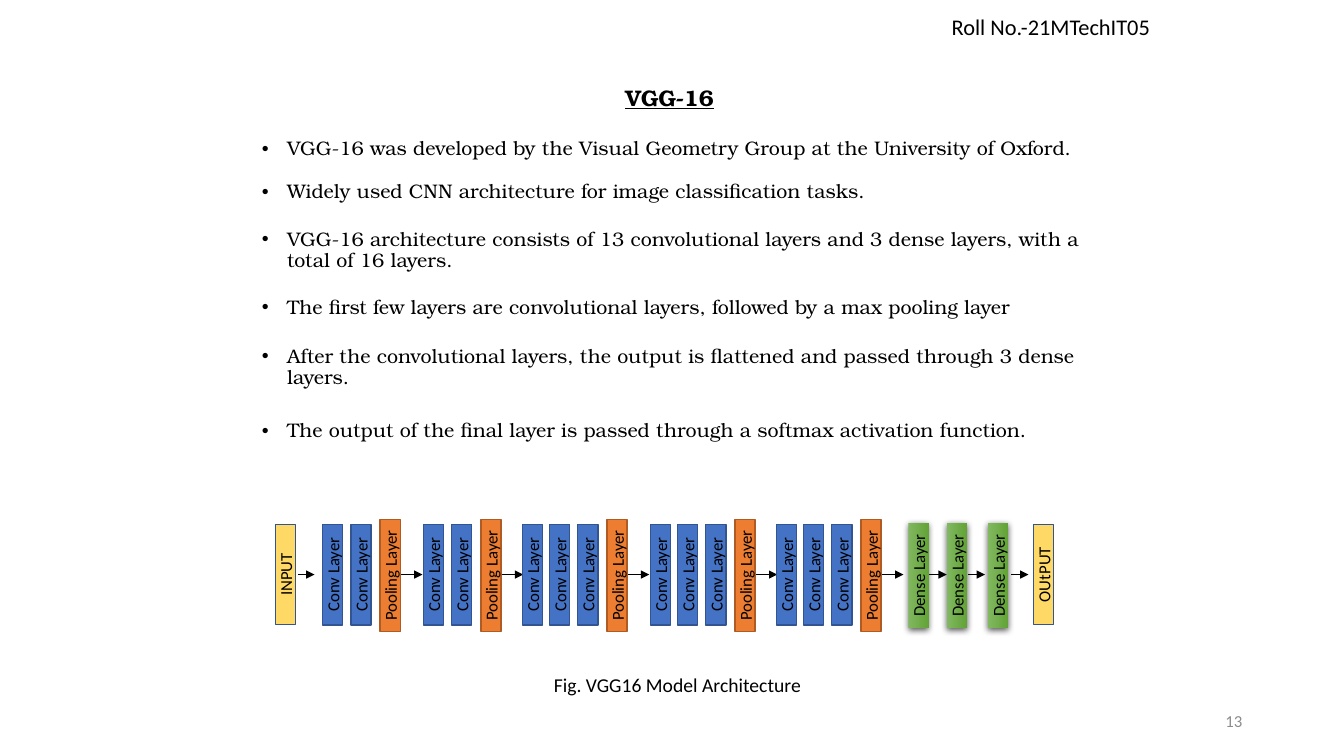
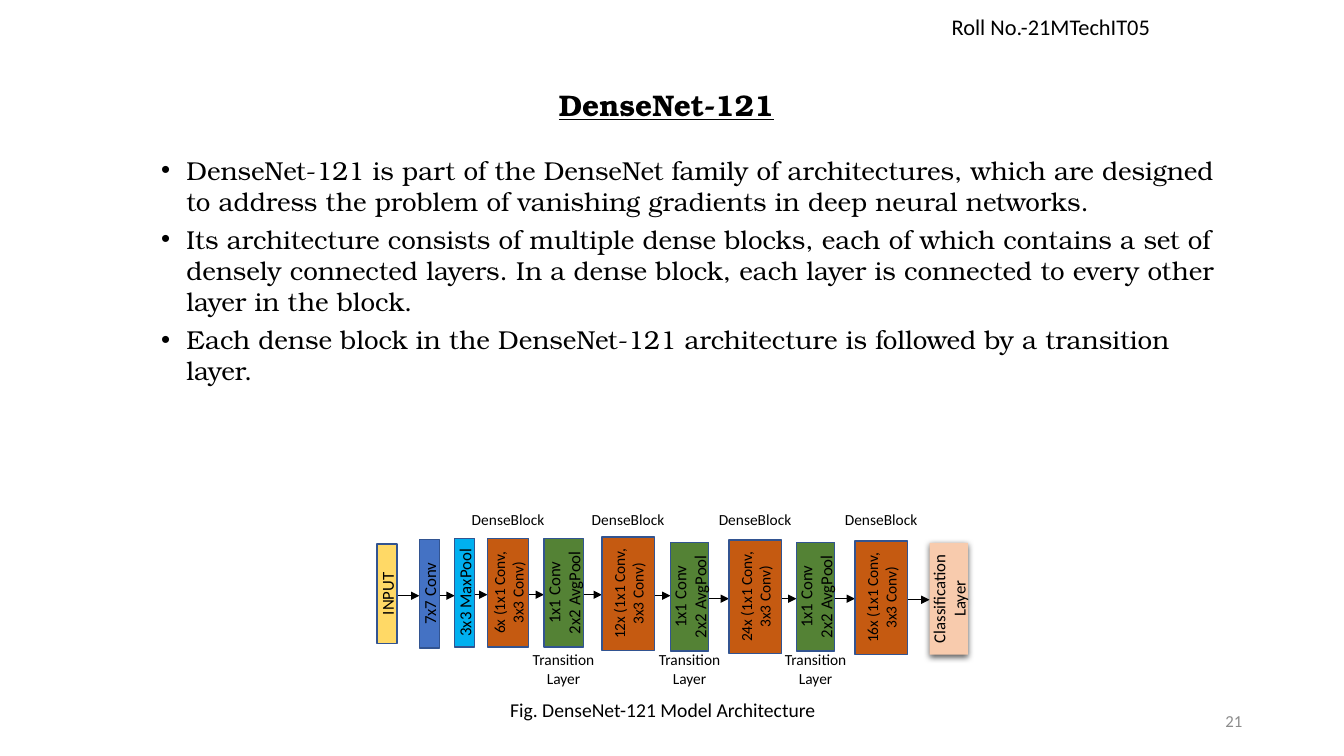
from lxml import etree
from pptx import Presentation
from pptx.dml.color import RGBColor
from pptx.enum.shapes import MSO_CONNECTOR, MSO_SHAPE
from pptx.enum.text import MSO_ANCHOR, MSO_AUTO_SIZE, PP_ALIGN
from pptx.oxml.ns import qn
from pptx.util import Inches, Pt

RECT, LINE = MSO_SHAPE.RECTANGLE, MSO_CONNECTOR.STRAIGHT
LEFT, MID, RIGHT = PP_ALIGN.LEFT, PP_ALIGN.CENTER, PP_ALIGN.RIGHT
TOP, CENTER = MSO_ANCHOR.TOP, MSO_ANCHOR.MIDDLE
FIXED = MSO_AUTO_SIZE.NONE

SERIF, SANS = "TeX Gyre Bonum", "Calibri"
BLACK = RGBColor(0x00, 0x00, 0x00)
GRAY = RGBColor(0x8C, 0x8C, 0x8C)
BLUE = RGBColor(0x44, 0x72, 0xC4)
NAVY = RGBColor(0x32, 0x54, 0x91)
ORANGE = RGBColor(0xED, 0x7D, 0x31)
BROWN = RGBColor(0xAF, 0x5C, 0x24)
YELLOW = RGBColor(0xFF, 0xD9, 0x66)
LIME = RGBColor(0x81, 0xB8, 0x61)
LEAF = RGBColor(0x62, 0xA3, 0x36)
CYAN = RGBColor(0x00, 0xB0, 0xF0)
RUST = RGBColor(0xC5, 0x5A, 0x11)
GREEN = RGBColor(0x54, 0x82, 0x35)
PEACH = RGBColor(0xF8, 0xCB, 0xAD)

VGG_TEXT = [
    ("VGG-16 was developed by the Visual Geometry Group at the University of Oxford.", 0),
    ("Widely used CNN architecture for image classification tasks.", 15.6),
    ("VGG-16 architecture consists of 13 convolutional layers and 3 dense layers, "
     "with a total of 16 layers.", 18.5),
    ("The first few layers are convolutional layers, followed by a max pooling layer", 18.5),
    ("After the convolutional layers, the output is flattened and passed through "
     "3 dense layers.", 20),
    ("The output of the final layer is passed through a softmax activation function.", 22.7),
]
DENSE_TEXT = [
    ("DenseNet-121 is part of the DenseNet family of architectures, which are designed "
     "to address the problem of vanishing gradients in deep neural networks.", 0),
    ("Its architecture consists of multiple dense blocks, each of which contains a set of "
     "densely connected layers. In a dense block, each layer is connected to every other "
     "layer in the block.", 5),
    ("Each dense block in the DenseNet-121 architecture is followed by a transition layer.", 5),
]


def style(frame, size, color=BLACK, font=SANS, align=MID, bold=False):
    """Format every run of a text frame."""
    for para in frame.paragraphs:
        para.alignment = align
        for run in para.runs:
            run.font.size, run.font.name = Pt(size), font
            run.font.color.rgb = color
            run.font.bold = run.font.underline = bold


def label(slide, text, box, size, color=BLACK, align=MID, anchor=CENTER):
    """Add a wrapped text box."""
    frame = slide.shapes.add_textbox(*map(Inches, box)).text_frame
    frame.word_wrap, frame.vertical_anchor = True, anchor
    frame.text = text
    style(frame, size, color, align=align)


def arrow(slide, start, end, y):
    """Add a thin level arrow."""
    line = slide.shapes.add_connector(LINE, Inches(start), Inches(y), Inches(end), Inches(y))
    line.line.color.rgb, line.line.width = BLACK, Pt(0.5)
    etree.SubElement(line.line._get_or_add_ln(), qn("a:tailEnd"), type="triangle")
    etree.SubElement(line._element.spPr, qn("a:effectLst"))


def shade(shape):
    """Give a shape a soft shadow below it."""
    effects = shape._element.spPr.find(qn("a:effectLst"))
    outer = etree.SubElement(effects, qn("a:outerShdw"), blurRad=str(Pt(4.5)),
                             dist=str(Pt(1.5)), dir="5400000", algn="ctr", rotWithShape="0")
    color = etree.SubElement(outer, qn("a:srgbClr"), val=str(BLACK))
    etree.SubElement(color, qn("a:alpha"), val="63000")


def layer(slide, text, x, y, length, fill, edge=NAVY, wide=0.2, size=12):
    """Add an upright layer bar centred on a point, shaded if it has no edge."""
    bar = slide.shapes.add_shape(RECT, Inches(x - length / 2), Inches(y - wide / 2),
                                 Inches(length), Inches(wide))
    bar.rotation = 270
    bar.shadow.inherit = False
    if fill == LIME:
        bar.fill.gradient()
        bar.fill.gradient_angle = 270
        for stop, color in zip(bar.fill.gradient_stops, (LIME, LEAF)):
            stop.color.rgb = color
    else:
        bar.fill.solid()
        bar.fill.fore_color.rgb = fill
    if edge:
        bar.line.color.rgb, bar.line.width = edge, Pt(1)
    else:
        bar.line.fill.background()
        shade(bar)
    bar.text_frame.text = text
    style(bar.text_frame, size)


def bullets(slide, items, box, size, spacing):
    """Add a bullet list from pairs of text and space before."""
    frame = slide.shapes.add_textbox(*map(Inches, box)).text_frame
    frame.word_wrap = True
    frame.text = "\n".join(text for text, _ in items)
    style(frame, size, font=SERIF, align=LEFT)
    for para, (_, gap) in zip(frame.paragraphs, items):
        para.line_spacing, para.space_before = spacing, Pt(gap)
        props = para._p.get_or_add_pPr()
        props.set("marL", str(Inches(0.75)))
        props.set("indent", str(Inches(-0.25)))
        etree.SubElement(props, qn("a:buFont"), typeface="Arial")
        etree.SubElement(props, qn("a:buChar"), char="•")


def base(deck, title, box, size, page):
    """Add a slide with its title, roll number and page number."""
    slide = deck.slides.add_slide(deck.slide_layouts[5])
    head = slide.shapes.title
    head.left, head.top, head.width, head.height = map(Inches, box)
    frame = head.text_frame
    frame.text = title
    frame.auto_size, frame.vertical_anchor = FIXED, CENTER
    style(frame, size, font=SERIF, bold=True)
    label(slide, "Roll No.-21MTechIT05", (9.34, 0.08, 2.24, 0.37), 16, align=LEFT, anchor=TOP)
    label(slide, page, (9.42, 6.95, 3, 0.4), 12, GRAY, RIGHT)
    return slide


def vgg_net(slide, left, mid):
    """Draw the VGG chain from a left edge along a middle line."""
    for start, end in ((0.26, 0.42), (6.51, 6.69), (6.9, 7.07), (7.33, 7.5)):
        arrow(slide, left + start, left + end, mid)
    groups = ((1.17, 2), (2.17, 2), (3.42, 3), (4.69, 3), (5.94, 3))
    for pool, count in groups:
        x = left + pool
        arrow(slide, x + 0.09, x + 0.32, mid)
        for back in (0.84, 0.57, 0.29)[-count:]:
            layer(slide, "Conv Layer", x - back, mid, 1, BLUE)
        layer(slide, "Pooling Layer", x, mid + 0.01, 1.11, ORANGE, BROWN)
    for x in (6.41, 6.79, 7.2):
        layer(slide, "Dense Layer", left + x, mid + 0.01, 1.04, LIME, None)
    for text, x in (("INPUT", 0.13), ("OUtPUT", 7.65)):
        layer(slide, text, left + x, mid, 0.99, YELLOW)


def dense_net(slide, left, mid):
    """Draw the DenseNet chain with labels over and under its blocks."""
    pair = "1x1 Conv\n2x2 AvgPool"
    block = "{}x (1x1 Conv, 3x3 Conv)".format
    chain = [
        ("INPUT", 0.14, -0.01, 0.99, 0.2, YELLOW),
        ("7x7 Conv", 0.56, -0.01, 1.08, 0.2, BLUE),
        ("3x3 MaxPool", 0.91, -0.02, 1.08, 0.2, CYAN),
        (block(6), 1.34, -0.02, 1.08, 0.41, RUST),
        (pair, 1.89, -0.02, 1.08, 0.39, GREEN),
        (block(12), 2.53, -0.01, 1.13, 0.52, RUST),
        (pair, 3.14, 0.02, 1.08, 0.38, GREEN),
        (block(24), 3.79, 0.02, 1.13, 0.52, RUST),
        (pair, 4.39, 0.02, 1.08, 0.38, GREEN),
        (block(16), 5.04, 0.03, 1.13, 0.52, RUST),
        ("Classification Layer", 5.71, 0.04, 1.11, 0.38, PEACH),
    ]
    for (_, x, drop, _, wide, _), (_, after, _, _, width, _) in zip(chain, chain[1:]):
        arrow(slide, left + x + wide / 2, left + after - width / 2, mid + drop + 0.02)
    notes = {RUST: ("DenseBlock", -0.9), GREEN: ("Transition Layer", 0.58)}
    for text, x, drop, length, wide, fill in chain:
        layer(slide, text, left + x, mid + drop, length, fill,
              None if fill == PEACH else NAVY, wide, 11 if fill == RUST else 12)
        if fill in notes:
            note, shift = notes[fill]
            label(slide, note, (left + x - 0.48, mid + shift, 0.96, 0.31), 11)


def main():
    """Build and save the deck."""
    deck = Presentation()
    deck.slide_width, deck.slide_height = Inches(13.33), Inches(7.5)

    slide = base(deck, "VGG-16", (2, 0.69, 9.28, 0.55), 16.1, "13")
    bullets(slide, VGG_TEXT, (2, 1.33, 9.28, 3.48), 14, 0.9)
    vgg_net(slide, 2.7, 5.7)
    label(slide, "Fig. VGG16 Model Architecture", (5.32, 6.59, 2.8, 0.4), 14)

    slide = base(deck, "DenseNet-121", (1, 0.69, 11.22, 0.7), 21.3, "21")
    bullets(slide, DENSE_TEXT, (1, 1.48, 11.22, 2.97), 18.5, 1.0)
    dense_net(slide, 3.7, 5.9)
    label(slide, "Fig. DenseNet-121 Model Architecture", (4.95, 6.84, 3.25, 0.4), 14)

    deck.save("out.pptx")


if __name__ == "__main__":
    main()
